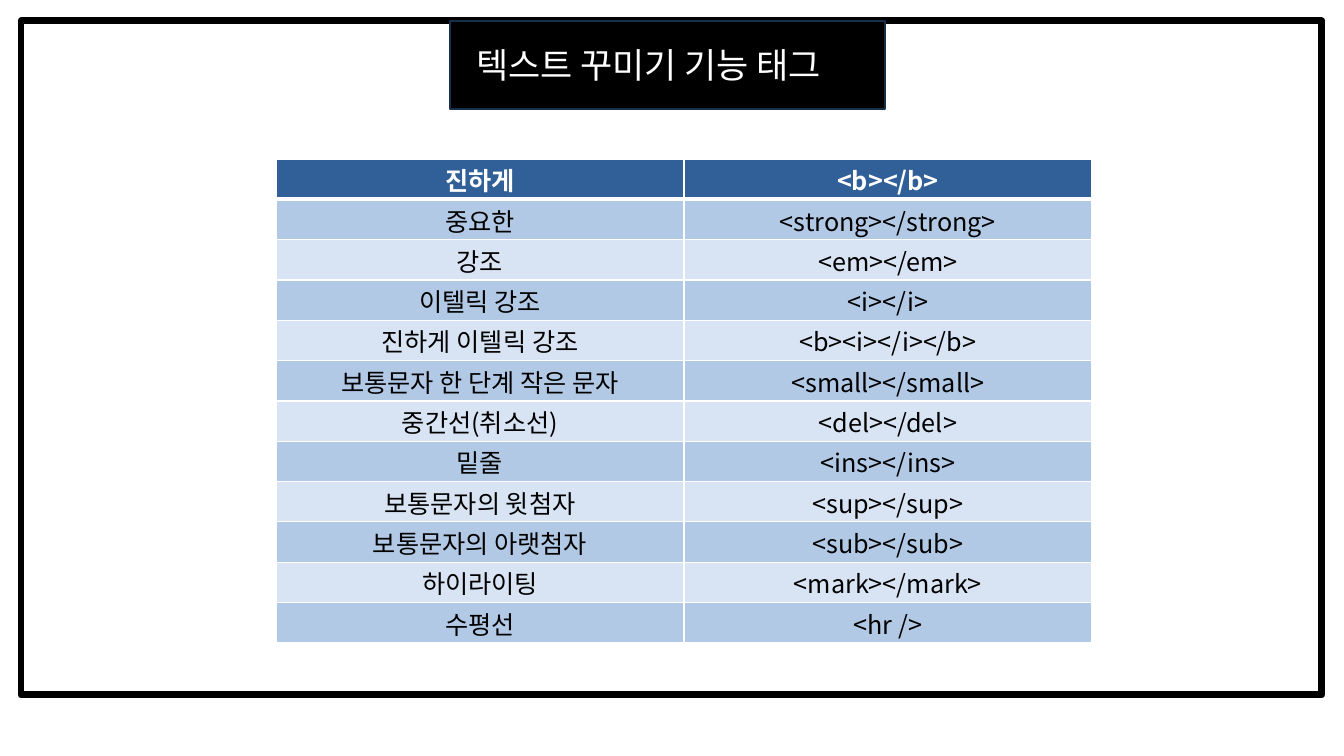
from dataclasses import dataclass

from lxml import etree
from pptx import Presentation
from pptx import util as u
from pptx.dml.color import RGBColor
from pptx.enum import shapes, text
from pptx.oxml import ns

FONT = "Noto Sans CJK KR"
BLACK = RGBColor(0x00, 0x00, 0x00)
WHITE = RGBColor(0xFF, 0xFF, 0xFF)
NAVY = RGBColor(0x18, 0x2F, 0x4B)
HEADER_BLUE = RGBColor(0x31, 0x5F, 0x97)
BAND_BLUE = RGBColor(0xB2, 0xC9, 0xE6)
PALE_BLUE = RGBColor(0xD8, 0xE4, 0xF3)

TITLE = "텍스트 꾸미기 기능 태그"
TAGS = [
    ("진하게", "<b></b>"),
    ("중요한", "<strong></strong>"),
    ("강조", "<em></em>"),
    ("이텔릭 강조", "<i></i>"),
    ("진하게 이텔릭 강조", "<b><i></i></b>"),
    ("보통문자 한 단계 작은 문자", "<small></small>"),
    ("중간선(취소선)", "<del></del>"),
    ("밑줄", "<ins></ins>"),
    ("보통문자의 윗첨자", "<sup></sup>"),
    ("보통문자의 아랫첨자", "<sub></sub>"),
    ("하이라이팅", "<mark></mark>"),
    ("수평선", "<hr />"),
]


def px(pixels: float) -> u.Emu:
    return u.Emu(round(pixels * 914400 / 100.8))


@dataclass
class Place:
    left: int
    top: int
    width: int
    height: int

    def emu(self) -> list[u.Emu]:
        return [px(v) for v in (self.left, self.top, self.width, self.height)]


@dataclass
class Panel:
    place: Place
    line: RGBColor
    line_width: float
    fill: RGBColor | None = None


PANELS = [
    Panel(Place(21, 21, 1301, 674), BLACK, 5),
    Panel(Place(450, 21, 435, 88), NAVY, 1.5, BLACK),
]
TITLE_PLACE = Place(466, 38, 407, 52)
TABLE_PLACE = Place(276, 159, 816, 484)


def set_all(target, values: dict) -> None:
    for name, value in values.items():
        setattr(target, name, value)


def write(frame, words: str, size: float, color: RGBColor, bold: bool, align) -> None:
    para = frame.paragraphs[0]
    para.alignment = align
    span = para.add_run()
    span.text = words
    set_all(span.font, {"name": FONT, "size": u.Pt(size), "bold": bold})
    span.font.color.rgb = color
    east_asian = etree.SubElement(span.font._element, ns.qn("a:ea"))
    east_asian.set("typeface", FONT)


def draw_panel(page, panel: Panel):
    box = page.shapes.add_shape(shapes.MSO_SHAPE.RECTANGLE, *panel.place.emu())
    box.shadow.inherit = False
    if panel.fill is None:
        box.fill.background()
    else:
        box.fill.solid()
        box.fill.fore_color.rgb = panel.fill
    box.line.color.rgb = panel.line
    box.line.width = u.Pt(panel.line_width)
    etree.SubElement(box.line._ln, ns.qn("a:round"))
    return box


def draw_border(cell, side: str, width: float) -> None:
    properties = cell._tc.get_or_add_tcPr()
    line = etree.SubElement(properties, ns.qn(f"a:{side}"), w=str(u.Pt(width)))
    fill = etree.SubElement(line, ns.qn("a:solidFill"))
    etree.SubElement(fill, ns.qn("a:srgbClr"), val=str(WHITE))


def fill_cell(cell, words: str, row: int) -> None:
    header = row == 0
    set_all(cell, {
        "margin_top": px(2),
        "margin_bottom": px(1),
        "vertical_anchor": text.MSO_ANCHOR.MIDDLE,
    })
    # Thick rule between the header and the first row
    widths = {"lnL": 1, "lnR": 1, "lnT": 3 if row == 1 else 1, "lnB": 3 if header else 1}
    for side, width in widths.items():
        draw_border(cell, side, width)
    cell.fill.solid()
    cell.fill.fore_color.rgb = HEADER_BLUE if header else BAND_BLUE if row % 2 else PALE_BLUE
    write(cell.text_frame, words, 18, WHITE if header else BLACK, header,
          text.PP_ALIGN.CENTER)


def draw_table(page, place: Place, rows: list[tuple[str, str]]) -> None:
    table = page.shapes.add_table(len(rows), len(rows[0]), *place.emu()).table
    for line in table.rows:
        line.height = px(place.height / len(rows))
    for r, row in enumerate(rows):
        for c, words in enumerate(row):
            fill_cell(table.cell(r, c), words, r)


deck = Presentation()
set_all(deck, {"slide_width": px(1344), "slide_height": px(756)})
page = deck.slides.add_slide(deck.slide_layouts[5])

# Frame and title box
boxes = [draw_panel(page, panel) for panel in PANELS]

# Title, placed in front of its box
title = page.shapes.title
set_all(title, dict(zip(("left", "top", "width", "height"), TITLE_PLACE.emu())))
set_all(title.text_frame, {
    "word_wrap": True,
    "auto_size": text.MSO_AUTO_SIZE.NONE,
    "vertical_anchor": text.MSO_ANCHOR.TOP,
})
write(title.text_frame, TITLE, 25, WHITE, False, text.PP_ALIGN.LEFT)
boxes[-1].element.addnext(title.element)

# Table of tags
draw_table(page, TABLE_PLACE, TAGS)

deck.save("out.pptx")
